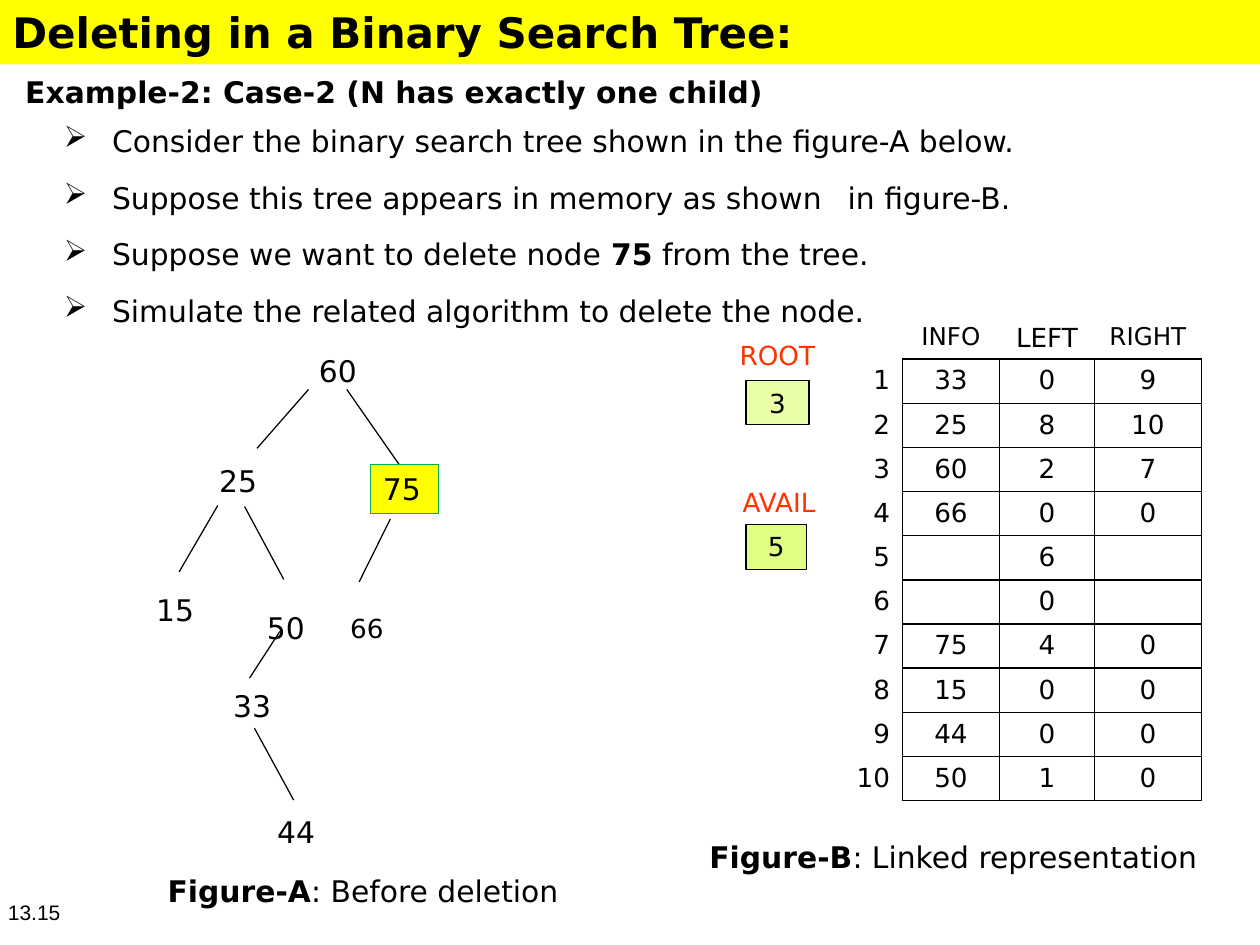
import pptx
import pptx.dml.color
import pptx.enum.shapes
import pptx.enum.text
import pptx.oxml
import pptx.oxml.ns
import pptx.util

Cm = pptx.util.Cm
Pt = pptx.util.Pt
RGBColor = pptx.dml.color.RGBColor
Align = pptx.enum.text.PP_ALIGN

BLACK = RGBColor(0x00, 0x00, 0x00)
YELLOW = RGBColor(0xFF, 0xFF, 0x00)
ORANGE = RGBColor(0xFF, 0x33, 0x00)
GREEN = RGBColor(0x00, 0xAF, 0x50)
PALE_LIME = RGBColor(0xE8, 0xFF, 0xA7)
LIME = RGBColor(0xDF, 0xFF, 0x83)


class TreeSlide:
    """Builds the slide's elements in one shared style; lengths are in centimetres."""

    font = "DejaVu Sans"
    body_size = 17
    small_size = 15
    hairline = Pt(0.72)

    def __init__(self, deck):
        self.slide = deck.slides.add_slide(deck.slide_layouts[5])
        self.shapes = self.slide.shapes

    def add_xml(self, parent, tag, content="", **attributes):
        namespace = pptx.oxml.ns.nsdecls("a")
        element = pptx.oxml.parse_xml(f"<a:{tag} {namespace}>{content}</a:{tag}>")
        for name, value in attributes.items():
            element.set(name, str(value))
        parent.append(element)

    def frame(self, text_frame, top=0.03, left=0):
        text_frame.word_wrap = True
        text_frame.auto_size = pptx.enum.text.MSO_AUTO_SIZE.NONE
        text_frame.vertical_anchor = pptx.enum.text.MSO_ANCHOR.TOP
        text_frame.margin_left, text_frame.margin_top = Cm(left), Cm(top)
        text_frame.margin_right = text_frame.margin_bottom = 0

    def fill_paragraph(self, paragraph, text, size, color=BLACK, align=Align.LEFT, font=None):
        paragraph.alignment = align
        for index, piece in enumerate(text.split("*")):
            if text and not piece:
                continue
            run = paragraph.add_run()
            run.text = piece
            run.font.name = font or self.font
            run.font.size = Pt(size)
            run.font.bold = index % 2 == 1
            run.font.color.rgb = color

    def title(self, text):
        band = self.box(0, 0, 25.4, 1.3, YELLOW)
        heading = self.shapes.title
        heading.element.addprevious(band.element)
        heading.left, heading.top = Cm(0.25), Cm(0.1)
        heading.width, heading.height = Cm(15.75), Cm(1.1)
        self.frame(heading.text_frame)
        self.fill_paragraph(heading.text_frame.paragraphs[0], f"*{text}*", 24)

    def text(self, left, top, width, height, text, size=body_size, color=BLACK, font=None, inset=0.03):
        label = self.shapes.add_textbox(Cm(left), Cm(top), Cm(width), Cm(height))
        self.frame(label.text_frame, inset)
        self.fill_paragraph(label.text_frame.paragraphs[0], text, size, color, font=font)
        return label.text_frame

    def bullet(self, text_frame, text, space_before, tab=None):
        item = text_frame.add_paragraph()
        properties = item._p.get_or_add_pPr()
        properties.set("marL", str(Cm(1.75)))
        properties.set("indent", str(-Cm(0.97)))
        self.add_xml(properties, "buChar", char="➢")
        if tab:
            self.add_xml(properties, "tabLst", f'<a:tab pos="{Cm(tab)}" algn="l"/>')
        item.space_before = Pt(space_before)
        self.fill_paragraph(item, text, self.body_size)

    def box(self, left, top, width, height, fill, line=None, text="", size=small_size,
            align=Align.CENTER, indent=0):
        box = self.shapes.add_shape(pptx.enum.shapes.MSO_SHAPE.RECTANGLE,
                                    Cm(left), Cm(top), Cm(width), Cm(height))
        box.shadow.inherit = False
        box.fill.solid()
        box.fill.fore_color.rgb = fill
        if line is None:
            box.line.fill.background()
        else:
            box.line.color.rgb = line
            box.line.width = self.hairline
        if text:
            self.frame(box.text_frame, 0.13, indent)
            self.fill_paragraph(box.text_frame.paragraphs[0], text, size, align=align)
        return box

    def edge(self, *ends):
        branch = self.shapes.add_connector(pptx.enum.shapes.MSO_CONNECTOR.STRAIGHT, *map(Cm, ends))
        branch.line.color.rgb = BLACK
        branch.line.width = self.hairline
        self.add_xml(branch.element.spPr, "effectLst")

    def cell_borders(self, cell, row, column):
        inside = row > 0 and column > 0
        drawn = {"L": inside, "R": row > 0, "T": inside, "B": column > 0}
        solid = f'<a:solidFill><a:srgbClr val="{BLACK}"/></a:solidFill>'
        for side, visible in drawn.items():
            self.add_xml(cell._tc.get_or_add_tcPr(), f"ln{side}",
                         solid if visible else "<a:noFill/>", w=Pt(1))

    def table(self, left, top, widths, header_height, row_height, rows):
        heights = [header_height] + [row_height] * (len(rows) - 1)
        memory = self.shapes.add_table(len(rows), len(widths), Cm(left), Cm(top),
                                       Cm(sum(widths)), Cm(sum(heights))).table
        memory.first_row = memory.horz_banding = False
        for column, width in zip(memory.columns, widths):
            column.width = Cm(width)
        for r, values in enumerate(rows):
            memory.rows[r].height = Cm(heights[r])
            for c, value in enumerate(values):
                cell = memory.cell(r, c)
                cell.margin_left = cell.margin_bottom = 0
                cell.margin_top = Cm(0.13 if r else 0.03)
                cell.margin_right = Cm(0 if c else 0.25)
                size = 14 if value in ("INFO", "RIGHT") else self.small_size
                self.fill_paragraph(cell.text_frame.paragraphs[0], value, size,
                                    align=Align.CENTER if c else Align.RIGHT)
                self.cell_borders(cell, r, c)
                cell.fill.background()


def main():
    """Builds and saves the slide on deleting a node with one child."""
    deck = pptx.Presentation()
    deck.slide_width, deck.slide_height = Cm(25.4), Cm(19.05)
    page = TreeSlide(deck)
    page.title("Deleting in a Binary Search Tree:")

    example = page.text(0.51, 1.19, 21.5, 5.46, "*Example-2: Case-2 (N has exactly one child)*", inset=0.3)
    page.bullet(example, "Consider the binary search tree shown in the figure-A below.", 7.5)
    page.bullet(example, "Suppose this tree appears in memory as shown\tin figure-B.", 12, 16.58)
    page.bullet(example, "Suppose we want to delete node *75* from the tree.", 12)
    page.bullet(example, "Simulate the related algorithm to delete the node.", 12)

    info = ["33", "25", "60", "66", "", "", "75", "15", "44", "50"]
    left_links = "0 8 2 0 6 0 4 0 0 1".split()
    right_links = ["9", "10", "7", "0", "", "", "0", "0", "0", "0"]
    addresses = [str(number) for number in range(1, 11)]
    records = [("", "INFO", "LEFT", "RIGHT"), *zip(addresses, info, left_links, right_links)]
    page.table(16.92, 6.48, [1.27, 1.96, 1.91, 2.16], 0.76, 0.89, records)

    page.text(14.91, 6.81, 1.8, 0.71, "ROOT", 15, ORANGE)
    page.box(15.04, 7.67, 1.27, 0.89, PALE_LIME, BLACK, "3")
    page.text(14.97, 9.78, 1.8, 0.71, "AVAIL", 15, ORANGE)
    page.box(15.04, 10.57, 1.22, 0.91, LIME, BLACK, "5")

    branches = [
        (6.22, 7.85, 5.18, 9.04), (6.99, 7.85, 8.05, 9.37),
        (4.39, 10.19, 3.61, 11.53), (4.93, 10.21, 5.72, 11.68),
        (7.87, 10.46, 7.24, 11.73), (5.64, 12.73, 5.03, 13.67),
        (5.13, 14.68, 5.92, 16.13),
    ]
    for branch in branches:
        page.edge(*branch)
    nodes = [
        ("60", 6.43, 7.09, 17), ("25", 4.42, 9.3, 17), ("15", 3.15, 11.89, 17),
        ("50", 5.38, 12.27, 17), ("66", 7.06, 12.32, 15), ("33", 4.7, 13.84, 17),
        ("44", 5.59, 16.38, 17),
    ]
    for key, left, top, size in nodes:
        page.text(left, top, 0.9, 0.79, key, size)
    page.box(7.47, 9.37, 1.37, 0.99, YELLOW, GREEN, "75", 17, Align.LEFT, 0.25)

    page.text(3.38, 17.55, 8.5, 0.81, "*Figure-A*: Before deletion", inset=0.05)
    page.text(14.3, 16.87, 10.5, 0.79, "*Figure-B*: Linked representation")
    page.text(0.16, 18.14, 1.3, 0.53, "13.15", 12, font="Arial", inset=0)
    deck.save("out.pptx")


if __name__ == "__main__":
    main()
